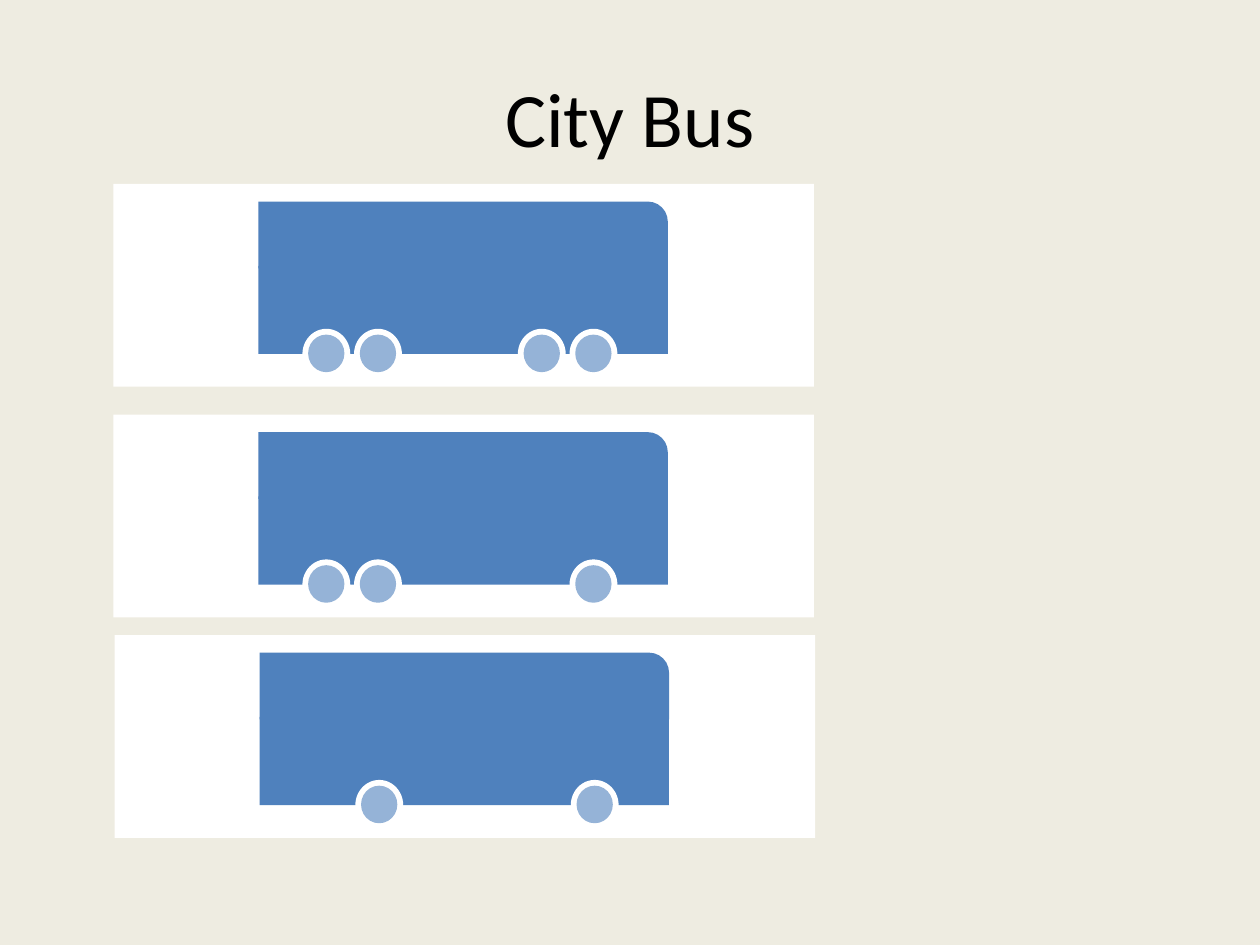
from pptx import Presentation
from pptx.dml.color import RGBColor
from pptx.enum.shapes import MSO_SHAPE
from pptx.enum.text import MSO_ANCHOR, PP_ALIGN
from pptx.util import Inches, Pt

COLORS = {
    "background": "EEECE1",
    "panel": "FFFFFF",
    "body": "4F81BD",
    "wheel": "95B3D7",
    "title": "000000",
}

# Wheel positions, measured from the left edge of a panel
REAR, REAR_INNER, FRONT_INNER, FRONT = 1.5, 1.91, 3.21, 3.62
WHEEL_TOP = 1.15

# Panel left, panel top, wheels
BUSES = [
    (0.9, 1.46, (REAR, REAR_INNER, FRONT_INNER, FRONT)),
    (0.9, 3.29, (REAR, REAR_INNER, FRONT)),
    (0.91, 5.04, (REAR_INNER, FRONT)),
]


def color(name):
    return RGBColor.from_string(COLORS[name])


def add_title(slide, text):
    title = slide.shapes.title
    title.left, title.top = Inches(0.5), Inches(0.3)
    title.width, title.height = Inches(9), Inches(1.25)
    frame = title.text_frame
    frame.text = text
    frame.vertical_anchor = MSO_ANCHOR.MIDDLE
    paragraph = frame.paragraphs[0]
    paragraph.alignment = PP_ALIGN.CENTER
    paragraph.font.name = "Calibri"
    paragraph.font.size = Pt(44)
    paragraph.font.color.rgb = color("title")


def add_filled_shape(group, kind, left, top, width, height, fill):
    shape = group.shapes.add_shape(
        kind, Inches(left), Inches(top), Inches(width), Inches(height))
    shape.shadow.inherit = False
    shape.fill.solid()
    shape.fill.fore_color.rgb = color(fill)
    shape.line.fill.background()
    return shape


def add_wheel(group, left, top):
    # White wheel arch with the wheel centred in it
    add_filled_shape(group, MSO_SHAPE.OVAL, left, top, 0.38, 0.4, "panel")
    wheel = add_filled_shape(
        group, MSO_SHAPE.OVAL, left + 0.06, top + 0.06, 0.26, 0.27, "wheel")
    wheel.line.color.rgb = color("wheel")
    wheel.line.width = Pt(2)


def add_bus(slide, left, top, wheels):
    group = slide.shapes.add_group_shape()
    add_filled_shape(group, MSO_SHAPE.RECTANGLE, left, top, 5.56, 1.61, "panel")

    # Lower body, then the upper body with its rounded front corner
    add_filled_shape(
        group, MSO_SHAPE.RECTANGLE, left + 1.15, top + 0.65, 3.25, 0.7, "body")
    upper = add_filled_shape(
        group, MSO_SHAPE.ROUND_1_RECTANGLE, left + 1.15, top + 0.14, 3.25, 0.53, "body")
    upper.adjustments[0] = 0.3

    for offset in wheels:
        add_wheel(group, left + offset, top + WHEEL_TOP)


def main():
    presentation = Presentation()
    presentation.slide_width = Inches(10)
    presentation.slide_height = Inches(7.5)
    slide = presentation.slides.add_slide(presentation.slide_layouts[5])
    slide.background.fill.solid()
    slide.background.fill.fore_color.rgb = color("background")

    add_title(slide, "City Bus")
    for left, top, wheels in BUSES:
        add_bus(slide, left, top, wheels)

    presentation.save("out.pptx")


if __name__ == "__main__":
    main()
